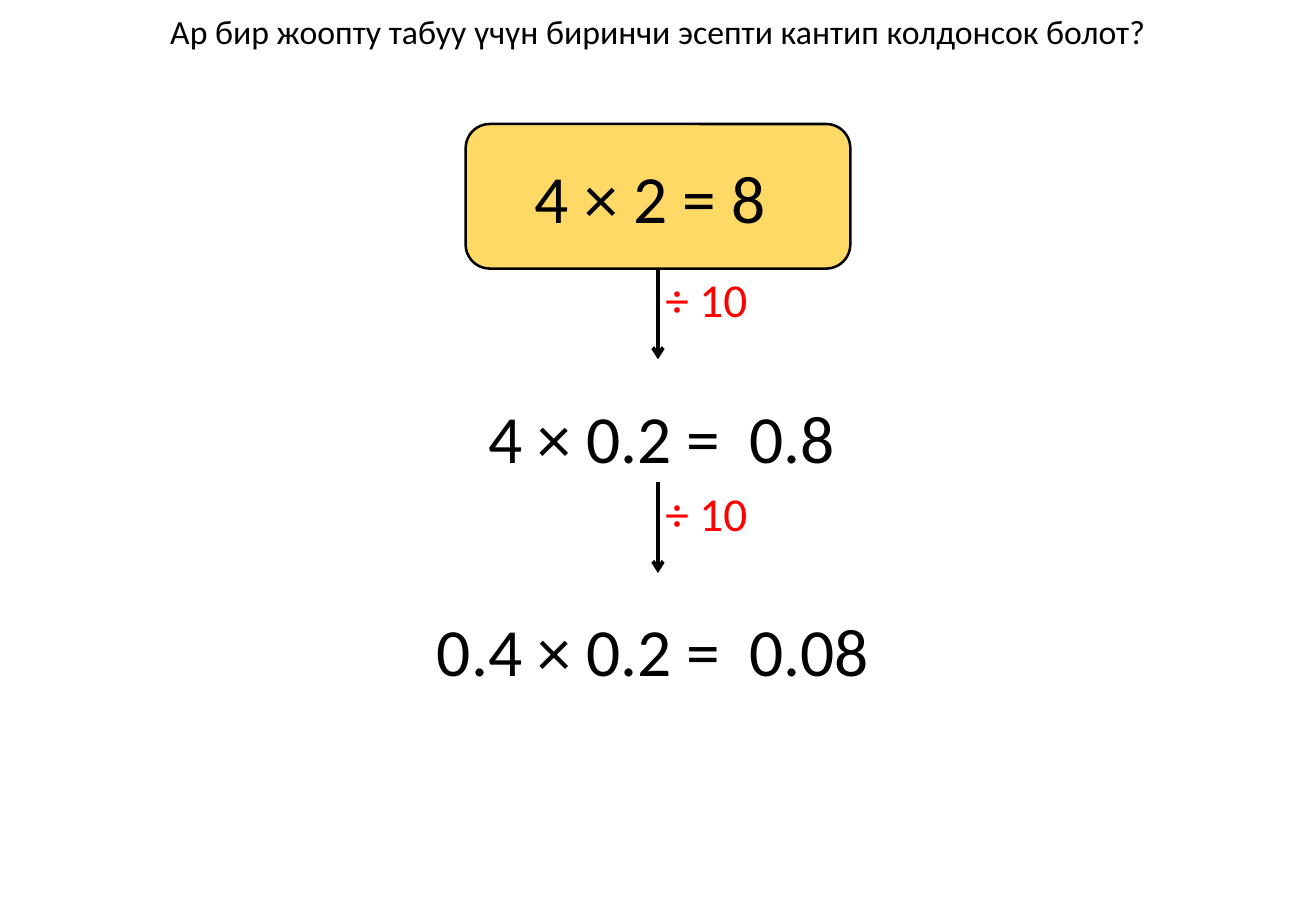
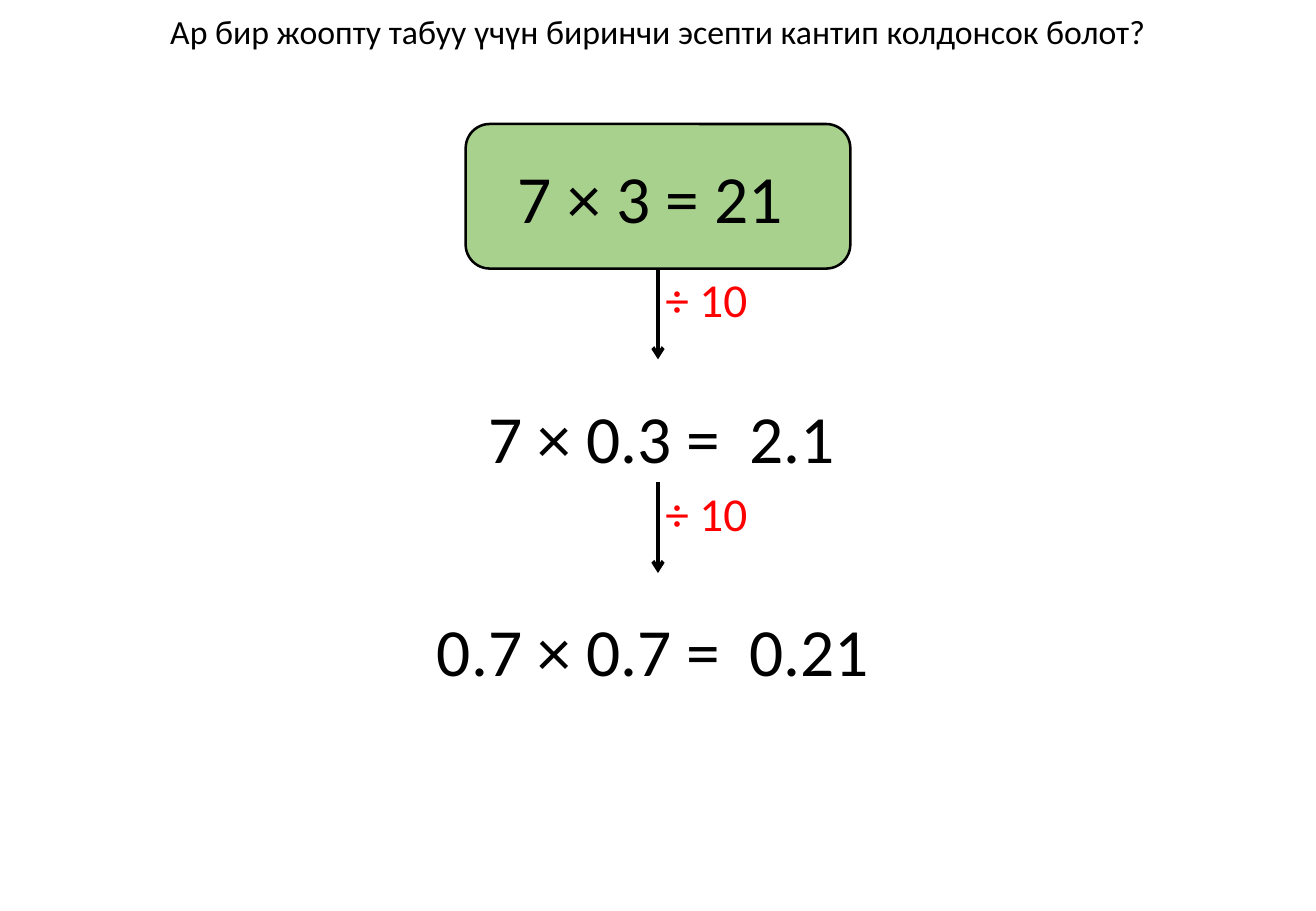
from lxml import etree
from pptx import Presentation
from pptx.dml.color import RGBColor
from pptx.enum.shapes import MSO_CONNECTOR, MSO_SHAPE
from pptx.enum.text import MSO_ANCHOR, MSO_AUTO_SIZE, PP_ALIGN
from pptx.oxml.ns import qn
from pptx.util import Pt

LEFT, CENTER, RIGHT = PP_ALIGN.LEFT, PP_ALIGN.CENTER, PP_ALIGN.RIGHT
TOP, MIDDLE = MSO_ANCHOR.TOP, MSO_ANCHOR.MIDDLE
NO_FIT = MSO_AUTO_SIZE.NONE
STRAIGHT = MSO_CONNECTOR.STRAIGHT
ROUNDED = MSO_SHAPE.ROUNDED_RECTANGLE

BLACK = RGBColor(0x00, 0x00, 0x00)
RED = RGBColor(0xFF, 0x00, 0x00)
YELLOW = RGBColor(0xFF, 0xD9, 0x66)
GREEN = RGBColor(0xA9, 0xD1, 0x8E)

FONT = "Calibri"
TITLE_ONLY = 5
SLIDE_W, SLIDE_H = 780, 540
MID_X = SLIDE_W / 2
CARD_W, CARD_H, CARD_TOP = 228, 85.7, 73.5
STEP_H = 126.7
ARROW_H = 53.8
EQUATION_H = 55.4

TITLE = "Ар бир жоопту табуу үчүн биринчи эсепти кантип колдонсок болот?"
EXERCISES = [
    (YELLOW, "4 × 2 = 8", [("4 × 0.2 =", "0.8"), ("0.4 × 0.2 =", "0.08")]),
    (GREEN, "7 × 3 = 21", [("7 × 0.3 =", "2.1"), ("0.7 × 0.7 =", "0.21")]),
]


def write(sp, text, size=40, color=BLACK, align=LEFT, anchor=TOP):
    tf = sp.text_frame
    tf.word_wrap = True
    tf.auto_size = NO_FIT
    tf.vertical_anchor = anchor
    p = tf.paragraphs[0]
    p.alignment = align
    r = p.add_run()
    r.text = text
    r.font.name = FONT
    r.font.size = Pt(size)
    r.font.color.rgb = color


def add_text(s, x, y, w, h, text, **fmt):
    write(s.shapes.add_textbox(Pt(x), Pt(y), Pt(w), Pt(h)), text, **fmt)


def add_title(s, x, y, w, h):
    sp = s.shapes.title
    sp.left, sp.top, sp.width, sp.height = Pt(x), Pt(y), Pt(w), Pt(h)
    write(sp, TITLE, size=20, align=CENTER)


def add_arrow(s, x, y, length):
    sp = s.shapes.add_connector(STRAIGHT, Pt(x), Pt(y), Pt(x), Pt(y + length))
    sp.line.color.rgb = BLACK
    sp.line.width = Pt(2.25)
    ln = sp.line._get_or_add_ln()
    etree.SubElement(ln, qn("a:tailEnd"), type="arrow")
    etree.SubElement(sp._element.spPr, qn("a:effectLst"))


def add_card(s, x, y, w, h, text, fill):
    sp = s.shapes.add_shape(ROUNDED, Pt(x), Pt(y), Pt(w), Pt(h))
    sp.shadow.inherit = False
    sp.fill.solid()
    sp.fill.fore_color.rgb = fill
    sp.line.color.rgb = BLACK
    sp.line.width = Pt(1.5)
    write(sp, text, align=CENTER, anchor=MIDDLE)
    # The sum sits slightly left of the card's centre
    sp.text_frame.margin_right = Pt(16.2)


def add_step(s, mid_x, y, equation, answer):
    """Arrow with its divisor, then the equation and answer below it."""
    add_arrow(s, mid_x, y, ARROW_H)
    add_text(s, mid_x - 10, y - 2.5, 70, 41, "÷ 10",
             size=28, color=RED, align=RIGHT)
    row_y = y + ARROW_H + 18
    add_text(s, mid_x - 155.8, row_y, 200, EQUATION_H, equation, align=RIGHT)
    add_text(s, mid_x + 47, row_y, 100, EQUATION_H, answer)


def add_exercise(prs, fill, first_sum, steps):
    s = prs.slides.add_slide(prs.slide_layouts[TITLE_ONLY])
    add_title(s, MID_X - 310, 3, 620, 31.5)
    add_card(s, MID_X - CARD_W / 2, CARD_TOP, CARD_W, CARD_H, first_sum, fill)
    for i, (equation, answer) in enumerate(steps):
        add_step(s, MID_X, CARD_TOP + CARD_H + i * STEP_H, equation, answer)


def main():
    prs = Presentation()
    prs.slide_width, prs.slide_height = Pt(SLIDE_W), Pt(SLIDE_H)
    for exercise in EXERCISES:
        add_exercise(prs, *exercise)
    prs.save("out.pptx")


if __name__ == "__main__":
    main()
